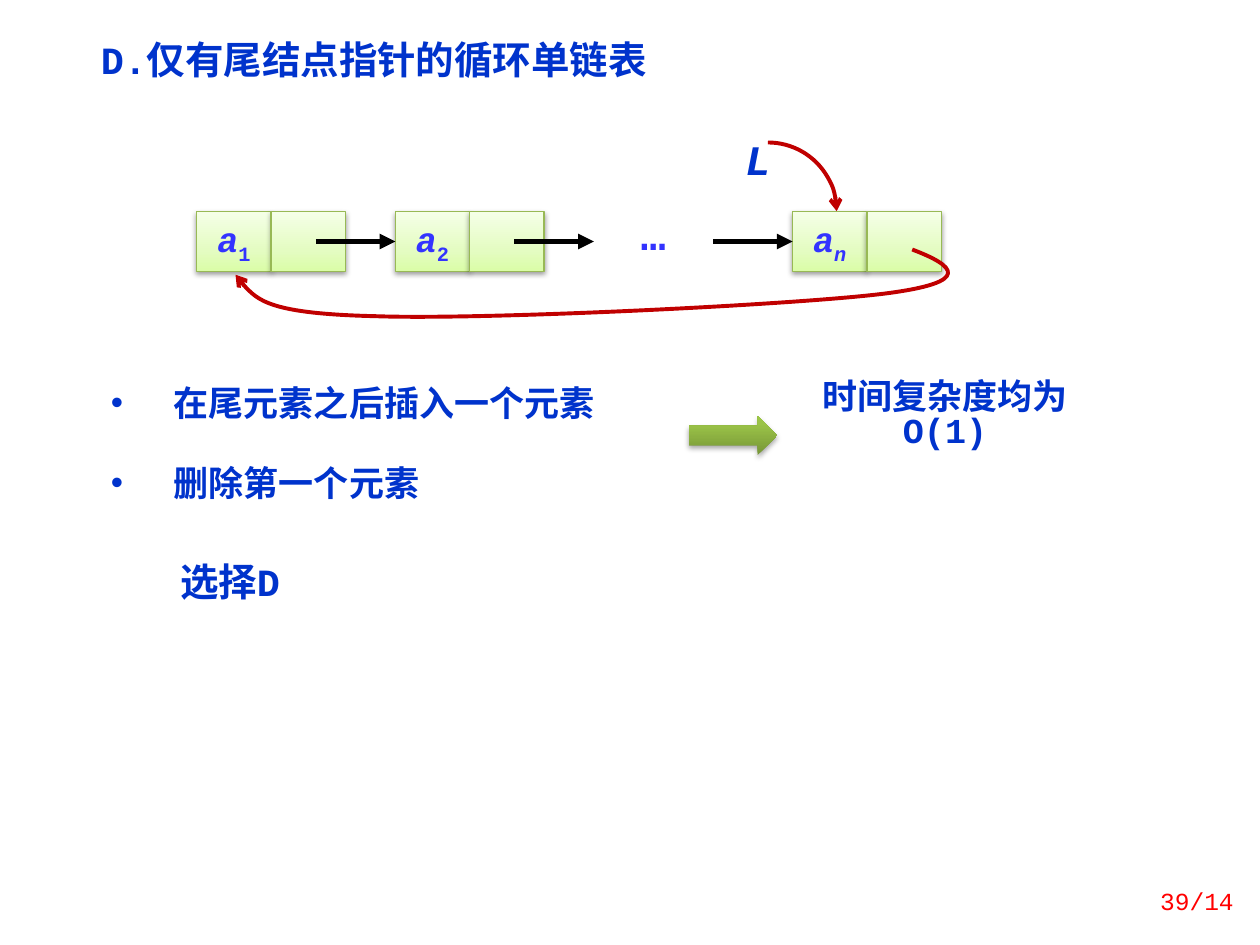
from copy import deepcopy

from lxml import etree
from pptx import Presentation
from pptx.dml.color import RGBColor
from pptx.enum.shapes import MSO_CONNECTOR, MSO_SHAPE
from pptx.enum.text import MSO_ANCHOR, PP_ALIGN
from pptx.oxml.ns import qn
from pptx.util import Pt

LEFT, CENTER, RIGHT = PP_ALIGN.LEFT, PP_ALIGN.CENTER, PP_ALIGN.RIGHT
TOP, MIDDLE = MSO_ANCHOR.TOP, MSO_ANCHOR.MIDDLE
STRAIGHT = MSO_CONNECTOR.STRAIGHT
RECTANGLE, ARC, RIGHT_ARROW = MSO_SHAPE.RECTANGLE, MSO_SHAPE.ARC, MSO_SHAPE.RIGHT_ARROW

THEME = {
    "font": "Courier New",
    "blue": "0033CC", "violet": "3333FF", "red": "C00000",
    "page_red": "FF0000", "black": "000000", "cell_line": "98B955",
    "cell_fill": [(0, "DAFDA7"), (35, "E4FCC2"), (100, "F5FFE7")],
    "arrow_fill": [(0, "779737"), (80, "9BC348"), (100, "9DC746")],
    "heading": 22, "body": 20, "mark": 24, "page": 14,
}

# Content
TITLE = "D.仅有尾结点指针的循环单链表"
NODES = [(0, "1", False), (1, "2", False), (3, "n", True)]  # slot, subscript, italic
OPERATIONS = ["在尾元素之后插入一个元素", "删除第一个元素"]
# text, (left, top, width, height), size, colour, alignment, italic
LABELS = [
    ("…", (350.6, 121, 45.4, 36), "mark", "violet", CENTER, False),
    ("L", (416.2, 78.5, 33.8, 36), "mark", "blue", CENTER, True),
    ("时间复杂度均为O(1)", (455.8, 215.3, 168.5, 55.4), "body", "blue", CENTER, False),
    ("选择D", (95.8, 320.4, 123.8, 33.8), "heading", "blue", LEFT, False),
]

# Layout of the list diagram
FIRST_LEFT, NODE_PITCH = 112.4, 113.5
CELL_TOP, CELL_WIDTH, CELL_HEIGHT = 121, 42.5, 34
LINK_LENGTH = 45.4
# Start point, then three points for each curve segment
LOOP = [(521.3, 142.6),
        (545.8, 151.9), (556.6, 161.3), (505.4, 167.8),
        (454.3, 174.2), (276.5, 182.9), (214.6, 180.7),
        (153.4, 179.3), (141.8, 167.8), (134.6, 157)]


def points(values):
    return [Pt(value) for value in values]


def color(name):
    return RGBColor.from_string(THEME.get(name, name))


def add_span(para, text, size, tint, italic=False, bold=True):
    span = para.add_run()
    span.text = text
    formats = {"name": THEME["font"], "size": Pt(THEME[size]),
               "bold": bold, "italic": italic}
    for key, value in formats.items():
        setattr(span.font, key, value)
    span.font.color.rgb = color(tint)
    return span


def set_up(frame, align=LEFT, anchor=TOP, wrap=True, spacing=0.8):
    frame.word_wrap = wrap
    frame.vertical_anchor = anchor
    para = frame.paragraphs[0]
    para.alignment = align
    para.line_spacing = spacing
    return para


def set_gradient(shape, stops):
    shape.fill.gradient()
    shape.fill.gradient_angle = 90
    stop_list = shape._element.spPr.find(".//" + qn("a:gsLst"))
    stop_list.append(deepcopy(stop_list[-1]))
    for stop, (position, tint) in zip(shape.fill.gradient_stops, stops):
        stop.position = position / 100
        stop.color.rgb = color(tint)


def set_shadow(shape, opacity, distance):
    shape.shadow.inherit = False
    effects = shape._element.spPr.find(qn("a:effectLst"))
    outer = etree.SubElement(effects, qn("a:outerShdw"), blurRad=str(Pt(3.1)),
                             dist=str(Pt(distance)), dir="5400000", rotWithShape="0")
    tint = etree.SubElement(outer, qn("a:srgbClr"), val=THEME["black"])
    etree.SubElement(tint, qn("a:alpha"), val=str(opacity * 1000))


def set_line(shape, tint, width, head=None):
    shape.line.color.rgb = color(tint)
    shape.line.width = Pt(width)
    if head:
        etree.SubElement(shape.line._get_or_add_ln(), qn("a:tailEnd"), type=head)


def add_cell(shapes, left):
    cell = shapes.add_shape(RECTANGLE, *points((left, CELL_TOP, CELL_WIDTH, CELL_HEIGHT)))
    set_gradient(cell, THEME["cell_fill"])
    set_line(cell, "cell_line", 0.75)
    set_shadow(cell, 38, 1.6)
    return cell


def add_link(shapes, end_x, target=None):
    y = CELL_TOP + CELL_HEIGHT / 2
    link = shapes.add_connector(STRAIGHT, *points((end_x - LINK_LENGTH, y, end_x, y)))
    if target is not None:
        link.end_connect(target, 1)
    set_line(link, "black", 3, "triangle")
    etree.SubElement(link._element.spPr, qn("a:effectLst"))


def add_loop(shapes):
    builder = shapes.build_freeform(*points(LOOP[0]))
    builder.add_line_segments([points(point) for point in LOOP[1:]], close=False)
    loop = builder.convert_to_shape()
    # Every three line ends become one cubic curve
    lines = list(loop._element.iter(qn("a:lnTo")))
    for start in range(0, len(lines), 3):
        curve = etree.Element(qn("a:cubicBezTo"))
        lines[start].addprevious(curve)
        for line in lines[start:start + 3]:
            curve.append(line[0])
            line.getparent().remove(line)
    loop.fill.background()
    loop.shadow.inherit = False
    set_line(loop, "red", 2.25, "arrow")


def add_bullet(para):
    properties = para._p.get_or_add_pPr()
    properties.set("marL", str(Pt(36)))
    properties.set("indent", str(Pt(-36)))
    etree.SubElement(properties, qn("a:buFont"), typeface="Arial")
    etree.SubElement(properties, qn("a:buChar"), char="•")


def main():
    deck = Presentation()
    deck.slide_width, deck.slide_height = Pt(720), Pt(540)
    page = deck.slides.add_slide(deck.slide_layouts[5])
    shapes = page.shapes

    # Title
    title = shapes.title
    title.left, title.top, title.width, title.height = points((50.4, 22.3, 360, 33.8))
    add_span(set_up(title.text_frame), TITLE, "heading", "blue")

    # Pointer from L to the last node
    pointer = shapes.add_shape(ARC, *points((399.6, 81.4, 78.5, 78.5)))
    pointer.fill.background()
    pointer.shadow.inherit = False
    set_line(pointer, "red", 2.25, "arrow")

    # Nodes, each with a data cell and a link cell
    data_cells = {}
    for slot, subscript, italic in NODES:
        left = FIRST_LEFT + slot * NODE_PITCH
        data_cells[slot] = cell = add_cell(shapes, left)
        para = set_up(cell.text_frame, CENTER, MIDDLE, wrap=False)
        add_span(para, "a", "body", "violet", italic=True)
        span = add_span(para, subscript, "body", "violet", italic)
        span.font._element.set("baseline", "-25000")
        add_cell(shapes, left + CELL_WIDTH)

    # Links between slots, and from the last node back to the first
    for slot in range(1, 4):
        add_link(shapes, FIRST_LEFT + slot * NODE_PITCH, data_cells.get(slot))
    add_loop(shapes)

    # Labels
    for text, place, size, tint, align, italic in LABELS:
        box = shapes.add_textbox(*points(place))
        add_span(set_up(box.text_frame, align), text, size, tint, italic)

    # Operations and the arrow to their cost
    box = shapes.add_textbox(*points((56.2, 202.3, 354.2, 75.6)))
    para = set_up(box.text_frame, spacing=1.5)
    for index, text in enumerate(OPERATIONS):
        if index:
            para = box.text_frame.add_paragraph()
            para.line_spacing = 1.5
            para.space_before = Pt(10)
        add_bullet(para)
        add_span(para, text, "body", "blue")
    arrow = shapes.add_shape(RIGHT_ARROW, *points((393.8, 237.6, 50.4, 22.3)))
    set_gradient(arrow, THEME["arrow_fill"])
    arrow.line.fill.background()
    set_shadow(arrow, 35, 1.8)

    # Page number
    box = shapes.add_textbox(*points((646.6, 500.4, 65.5, 28.8)))
    para = set_up(box.text_frame, RIGHT, MIDDLE, spacing=1.0)
    add_span(para, "39/14", "page", "page_red", bold=False)

    deck.save("out.pptx")


if __name__ == "__main__":
    main()
